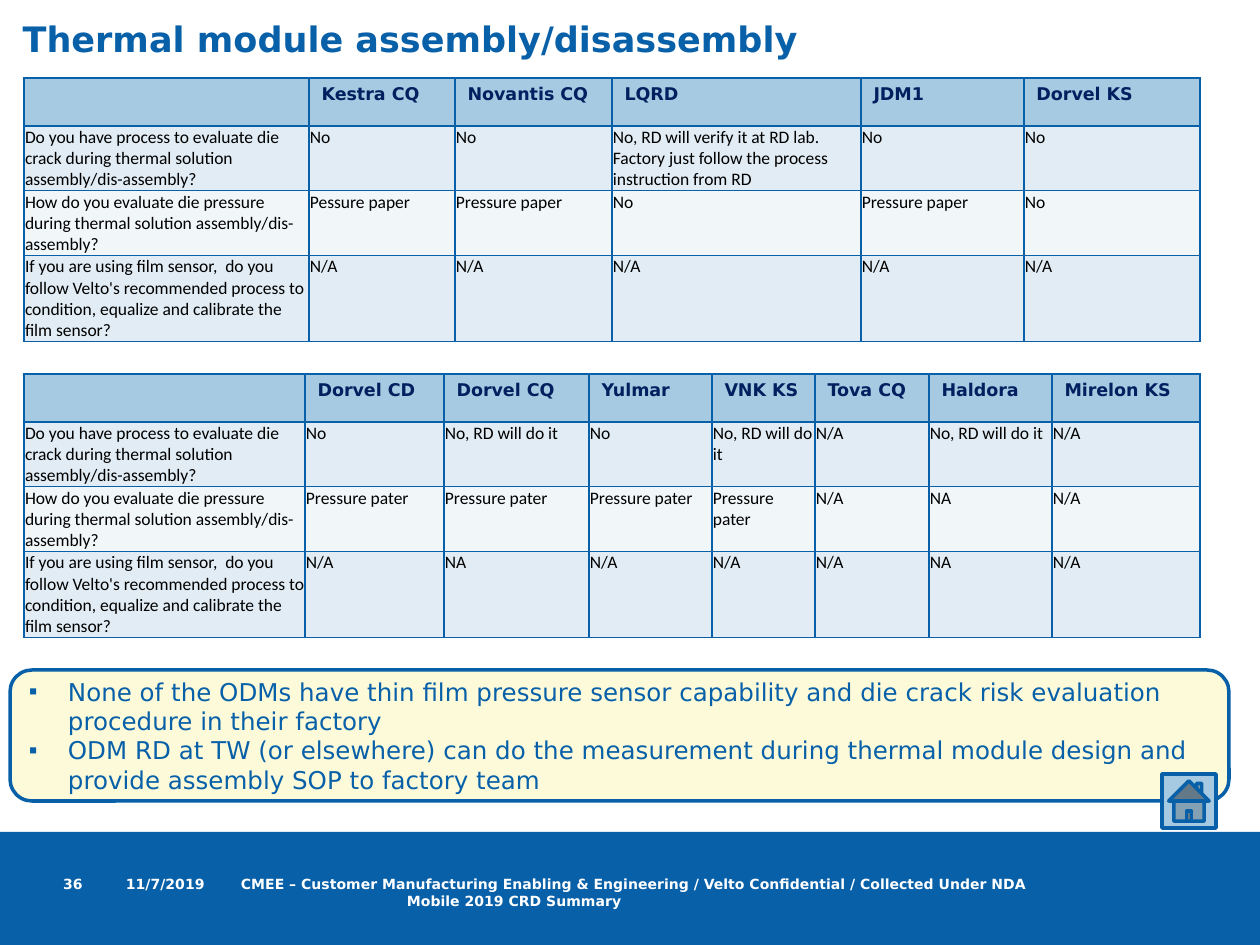
from dataclasses import dataclass

from lxml import etree
from pptx import Presentation
from pptx import util as u
from pptx.dml.color import RGBColor
from pptx.enum import shapes, text
from pptx.oxml import ns

EMU_PER_PX = 914400 / 126
COLORS = {
    "blue": "0860A8", "navy": "002060", "black": "000000", "white": "FFFFFF",
    "header": "A6CAE1", "band": "E1ECF4", "light": "F1F6F9", "cream": "FDFADA",
}
HEADING_FONT, CELL_FONT = "DejaVu Sans", "Calibri"
ROW_HEIGHTS = [41, 64, 64, 85]
ROW_FILLS = ["header", "band", "light", "band"]
QUESTIONS = [
    "Do you have process to evaluate die crack during thermal solution assembly/dis-assembly?",
    "How do you evaluate die pressure during thermal solution assembly/dis-assembly?",
    "If you are using film sensor,  do you follow Velto's recommended process to condition, "
    "equalize and calibrate the film sensor?",
]


@dataclass
class Site:
    name: str
    width: int
    answers: tuple[str, str, str]


@dataclass
class Survey:
    top: int
    question_width: int
    sites: list[Site]


@dataclass
class FooterItem:
    left: int
    width: int
    lines: list[str]
    second_indent: int = 0


SURVEYS = [
    Survey(78, 285, [
        Site("Kestra CQ", 146, ("No", "Pessure paper", "N/A")),
        Site("Novantis CQ", 157, ("No", "Pressure paper", "N/A")),
        Site("LQRD", 249, ("No, RD will verify it at RD lab. Factory just follow the "
                           "process instruction from RD", "No", "N/A")),
        Site("JDM1", 163, ("No", "Pressure paper", "N/A")),
        Site("Dorvel KS", 176, ("No", "No", "N/A")),
    ]),
    Survey(374, 281, [
        Site("Dorvel CD", 139, ("No", "Pressure pater", "N/A")),
        Site("Dorvel CQ", 145, ("No, RD will do it", "Pressure pater", "NA")),
        Site("Yulmar", 123, ("No", "Pressure pater", "N/A")),
        Site("VNK KS", 103, ("No, RD will do it", "Pressure pater", "N/A")),
        Site("Tova CQ", 114, ("N/A", "N/A", "N/A")),
        Site("Haldora", 123, ("No, RD will do it", "NA", "NA")),
        Site("Mirelon KS", 148, ("N/A", "N/A", "N/A")),
    ]),
]
FINDINGS = [
    "None of the ODMs have thin film pressure sensor capability and die crack risk "
    "evaluation procedure in their factory",
    "ODM RD at TW (or elsewhere) can do the measurement during thermal module design "
    "and provide assembly SOP to factory team",
]
FOOTER = [
    FooterItem(126, 103, ["11/7/2019"]),
    FooterItem(63, 57, ["36"]),
    FooterItem(241, 794, ["CMEE – Customer Manufacturing Enabling & Engineering / Velto "
                          "Confidential / Collected Under NDA",
                          "Mobile 2019 CRD Summary"], 166),
]


def px(length: float) -> int:
    return round(length * EMU_PER_PX)


def rgb(name: str) -> RGBColor:
    return RGBColor.from_string(COLORS[name])


def place(shape, left: int, top: int, width: int, height: int) -> None:
    shape.left, shape.top, shape.width, shape.height = map(px, (left, top, width, height))


def write(paragraph, content: str, *, size: int, color: str, font: str = HEADING_FONT,
          bold: bool = False) -> None:
    run = paragraph.add_run()
    run.text = content
    run.font.size, run.font.name, run.font.bold = u.Pt(size), font, bold
    run.font.color.rgb = rgb(color)


def paint(shape, fill: str, line: str | None = None) -> None:
    shape.fill.solid()
    shape.fill.fore_color.rgb = rgb(fill)
    if line:
        shape.line.color.rgb = rgb(line)
        shape.line.width = u.Pt(2)
    else:
        shape.line.fill.background()


def add_shape(slide, kind, left: int, top: int, width: int, height: int,
              fill: str, line: str | None = None) -> None:
    shape = slide.shapes.add_shape(kind, *map(px, (left, top, width, height)))
    shape.shadow.inherit = False
    paint(shape, fill, line)


def add_borders(cell) -> None:
    properties = cell._tc.get_or_add_tcPr()
    for index, side in enumerate(("lnL", "lnR", "lnT", "lnB")):
        line = etree.Element(ns.qn(f"a:{side}"), w=str(u.Pt(1)))
        fill = etree.SubElement(line, ns.qn("a:solidFill"))
        etree.SubElement(fill, ns.qn("a:srgbClr"), val=COLORS["blue"])
        properties.insert(index, line)


def add_survey(slide, survey: Survey) -> None:
    widths = [survey.question_width] + [site.width for site in survey.sites]
    rows = [[""] + [site.name for site in survey.sites]]
    for index, question in enumerate(QUESTIONS):
        rows.append([question] + [site.answers[index] for site in survey.sites])
    table = slide.shapes.add_table(len(rows), len(widths), px(24), px(survey.top),
                                   px(sum(widths)), px(sum(ROW_HEIGHTS))).table
    for column, width in zip(table.columns, widths):
        column.width = px(width)
    for r, values in enumerate(rows):
        table.rows[r].height = px(ROW_HEIGHTS[r])
        for c, value in enumerate(values):
            cell = table.cell(r, c)
            cell.fill.solid()
            cell.fill.fore_color.rgb = rgb(ROW_FILLS[r])
            add_borders(cell)
            paragraph = cell.text_frame.paragraphs[0]
            if r == 0:
                write(paragraph, value, size=10, color="navy", bold=True)
            else:
                cell.margin_left = cell.margin_right = cell.margin_top = px(1)
                cell.margin_bottom = 0
                write(paragraph, value, size=10, color="black", font=CELL_FONT)


def add_findings(box) -> None:
    place(box, 10, 670, 1219, 131)
    geometry = etree.SubElement(box._element.spPr, ns.qn("a:prstGeom"), prst="roundRect")
    etree.SubElement(geometry, ns.qn("a:avLst"))
    paint(box, "cream", "blue")
    frame = box.text_frame
    frame.auto_size = text.MSO_AUTO_SIZE.NONE
    frame.vertical_anchor = text.MSO_ANCHOR.MIDDLE
    frame.margin_top = frame.margin_bottom = 0
    for index, finding in enumerate(FINDINGS):
        paragraph = frame.add_paragraph() if index else frame.paragraphs[0]
        properties = paragraph._p.get_or_add_pPr()
        properties.set("marL", str(px(39)))
        properties.set("indent", str(px(-39)))
        etree.SubElement(properties, ns.qn("a:buChar"), char="▪")
        paragraph.space_before = u.Pt(0)
        write(paragraph, finding, size=14, color="blue")


def add_footer_item(slide, item: FooterItem) -> None:
    frame = slide.shapes.add_textbox(px(item.left), px(876), px(item.width), px(42)).text_frame
    frame.word_wrap = True
    frame.margin_left = frame.margin_right = frame.margin_top = frame.margin_bottom = 0
    for index, line in enumerate(item.lines):
        paragraph = frame.add_paragraph() if index else frame.paragraphs[0]
        if index:
            paragraph._p.get_or_add_pPr().set("marL", str(px(item.second_indent)))
        write(paragraph, line, size=8, color="white", bold=True)


def main() -> None:
    deck = Presentation()
    deck.slide_width, deck.slide_height = px(1260), px(945)
    slide = deck.slides.add_slide(deck.slide_layouts[1])
    title, findings = slide.placeholders

    # Title
    place(title, 10, 10, 815, 56)
    title.text_frame.word_wrap = False
    title.text_frame.auto_size = text.MSO_AUTO_SIZE.NONE
    title.text_frame.vertical_anchor = text.MSO_ANCHOR.MIDDLE
    heading = title.text_frame.paragraphs[0]
    heading.alignment = text.PP_ALIGN.LEFT
    write(heading, "Thermal module assembly/disassembly", size=20, color="blue", bold=True)

    # Survey tables and findings
    for survey in SURVEYS:
        add_survey(slide, survey)
    add_findings(findings)

    # Footer band and home button
    add_shape(slide, shapes.MSO_SHAPE.RECTANGLE, 0, 832, 1260, 113, "blue")
    for item in FOOTER:
        add_footer_item(slide, item)
    add_shape(slide, shapes.MSO_SHAPE.ACTION_BUTTON_HOME, 1162, 774, 54, 54, "header", "blue")

    deck.save("out.pptx")


if __name__ == "__main__":
    main()
